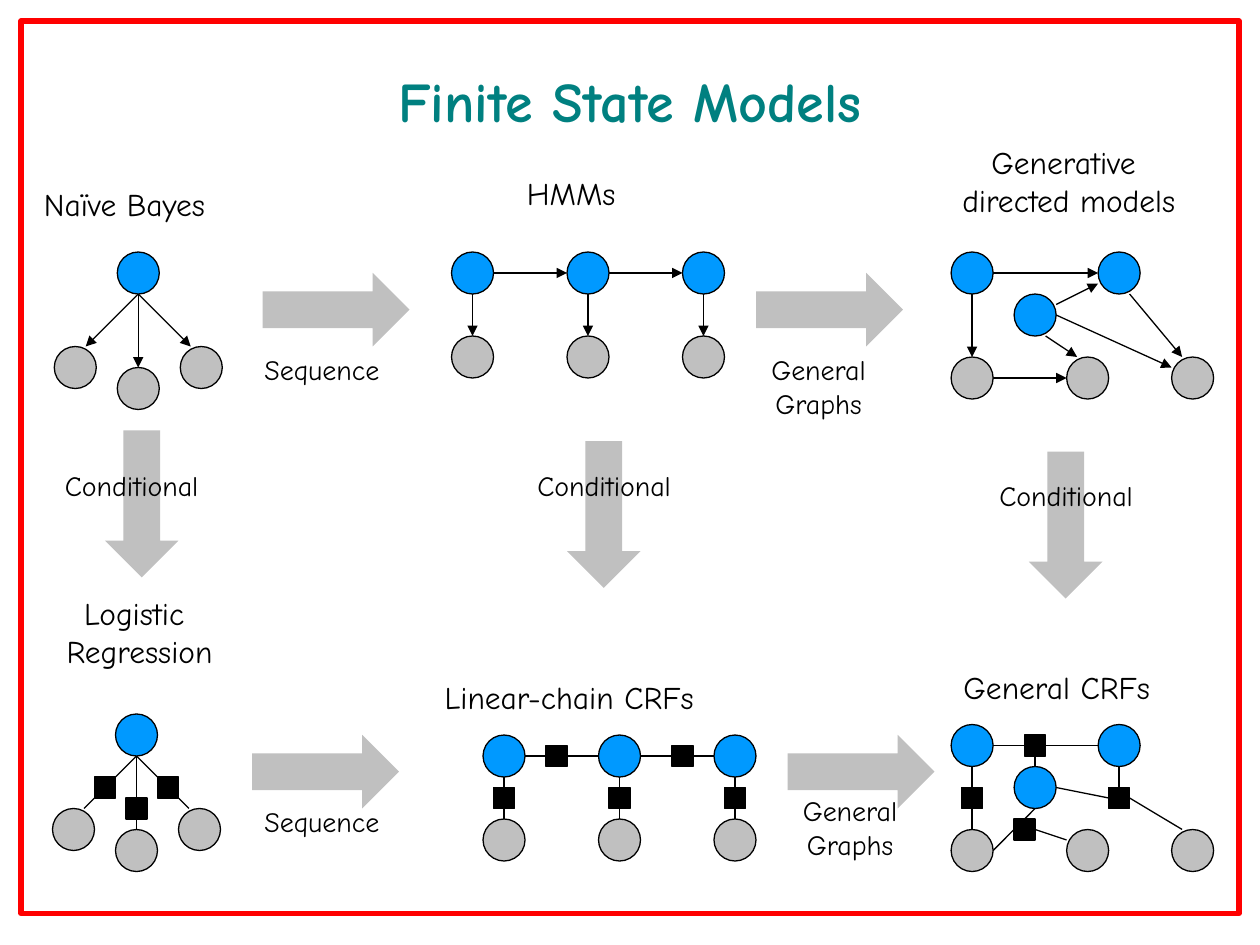
"""Build the slide that relates generative and conditional finite state models."""
from typing import NamedTuple

from lxml.etree import SubElement
from pptx import Presentation
from pptx.dml.color import RGBColor
from pptx.enum.shapes import MSO_CONNECTOR, MSO_SHAPE
from pptx.enum.text import MSO_ANCHOR, PP_ALIGN
from pptx.oxml.ns import qn
from pptx.slide import Slide
from pptx.util import Pt

CIRCLE, SQUARE = MSO_SHAPE.OVAL, MSO_SHAPE.RECTANGLE
BLOCK_ARROW = MSO_SHAPE.RIGHT_ARROW
STRAIGHT = MSO_CONNECTOR.STRAIGHT
LEFT, CENTER = PP_ALIGN.LEFT, PP_ALIGN.CENTER
TOP, MIDDLE = MSO_ANCHOR.TOP, MSO_ANCHOR.MIDDLE

BLACK = RGBColor(0x00, 0x00, 0x00)
TEAL = RGBColor(0x00, 0x80, 0x80)
BLUE = RGBColor(0x00, 0x99, 0xFF)
GRAY = RGBColor(0xC0, 0xC0, 0xC0)
RED = RGBColor(0xFF, 0x00, 0x00)

NODE, FACTOR, THIN = 24, 12, 0.75
ARROW_LENGTH, ARROW_BREADTH = 84, 42
TITLE_FONT = {"name": "Comic Neue", "size": Pt(32), "bold": True}
NAME_FONT = {"name": "Comic Neue", "size": Pt(18)}
STEP_FONT = {"name": "Comic Neue", "size": Pt(16)}

Point = tuple[float, float]
Edge = tuple[Point, Point]


class Nodes(NamedTuple):
    hidden: tuple[Point, ...]
    observed: tuple[Point, ...]


class Model(NamedTuple):
    origin: Point
    nodes: Nodes
    edges: tuple[Edge, ...]
    factors: tuple[Point, ...] = ()


class Box(NamedTuple):
    left: float
    top: float
    width: float
    height: float


class Label(NamedTuple):
    text: str
    box: Box
    font: dict
    align: PP_ALIGN = LEFT
    anchor: MSO_ANCHOR = TOP
    color: RGBColor = BLACK


class Transition(NamedTuple):
    left: float
    top: float
    rotation: float = 0


CHAIN_STEPS = (0, 66, 132)
STAR = Nodes(((0, 0),), ((-36, 54), (0, 66), (36, 54)))
CHAIN = Nodes(tuple((x, 0) for x in CHAIN_STEPS), tuple((x, 48) for x in CHAIN_STEPS))
GRAPH = Nodes(((0, 0), (36, 24), (84, 0)), ((0, 60), (66, 60), (126, 60)))

STAR_EDGES = tuple(((12, 24), end) for end in ((-18, 54), (12, 66), (42, 54)))
CHAIN_EDGES = (
    *(((x + 24, 12), (x + 66, 12)) for x in CHAIN_STEPS[:-1]),
    *(((x + 12, 24), (x + 12, 48)) for x in CHAIN_STEPS),
)
SHARED_EDGES = (((12, 24), (12, 60)), ((24, 12), (84, 12)))
DIRECTED_EDGES = (
    *SHARED_EDGES,
    ((102, 24), (132, 60)),
    ((60, 30), (84, 18)),
    ((24, 72), (66, 72)),
    ((54, 48), (72, 60)),
    ((60, 36), (126, 66)),
)
FACTOR_EDGES = (
    *SHARED_EDGES,
    ((102, 42), (132, 60)),
    ((96, 36), (96, 24)),
    ((24, 72), (36, 60)),
    ((48, 60), (66, 66)),
    ((60, 36), (90, 42)),
    ((48, 48), (42, 54)),
    ((48, 24), (48, 18)),
)

MODELS = (
    Model((67, 144), STAR, STAR_EDGES),
    Model((258, 144), CHAIN, CHAIN_EDGES),
    Model((543.5, 144), GRAPH, DIRECTED_EDGES),
    Model((66, 408), STAR, STAR_EDGES, ((-12, 36), (6, 48), (24, 36))),
    Model((276, 420), CHAIN, CHAIN_EDGES,
          (*((x + 6, 30) for x in CHAIN_STEPS), (36, 6), (108, 6))),
    Model((543.5, 414), GRAPH, FACTOR_EDGES, ((6, 36), (42, 6), (36, 54), (90, 36))),
)

TRANSITIONS = (
    Transition(150, 156), Transition(432, 156),
    Transition(144, 420), Transition(450, 420),
    Transition(39, 267, 90), Transition(303, 273, 90), Transition(567, 279, 90),
)

LABELS = (
    Label("Finite State Models", Box(24, 12, 672, 90), TITLE_FONT, CENTER, MIDDLE, TEAL),
    Label("Naïve Bayes", Box(18, 102, 149, 36), NAME_FONT),
    Label("Logistic \nRegression", Box(12, 336, 135.5, 65), NAME_FONT, CENTER),
    Label("Linear-chain CRFs", Box(247, 384, 214.5, 36), NAME_FONT),
    Label("HMMs", Box(294, 96, 87, 36), NAME_FONT),
    Label("Generative \ndirected models", Box(513.5, 78, 194.5, 65), NAME_FONT, CENTER),
    Label("General CRFs", Box(543.5, 378, 163.5, 36), NAME_FONT),
    *(Label("Sequence", Box(144, top, 85, 26.5), STEP_FONT) for top in (198, 456)),
    *(Label("Conditional", Box(left, top, 96.5, 26.5), STEP_FONT)
      for left, top in ((30, 264), (300, 264), (564, 270))),
    *(Label("General\vGraphs", Box(left, top, 71.5, 46), STEP_FONT, CENTER)
      for left, top in ((432, 198), (450, 450))),
)


def draw_shape(slide: Slide, kind: MSO_SHAPE, box: Box, fill: RGBColor | None,
               outline: RGBColor | None = BLACK, weight: float = THIN,
               rotation: float = 0) -> None:
    shape = slide.shapes.add_shape(kind, *map(Pt, box))
    shape.shadow.inherit = False
    shape.rotation = rotation
    if fill is None:
        shape.fill.background()
    else:
        shape.fill.solid()
        shape.fill.fore_color.rgb = fill
    if outline is None:
        shape.line.fill.background()
    else:
        shape.line.color.rgb = outline
        shape.line.width = Pt(weight)


def draw_edge(slide: Slide, origin: Point, edge: Edge, directed: bool) -> None:
    ends = [Pt(base + offset) for point in edge for base, offset in zip(origin, point)]
    connector = slide.shapes.add_connector(STRAIGHT, *ends)
    connector.line.color.rgb = BLACK
    connector.line.width = Pt(THIN)
    properties = connector.element.spPr
    if directed:
        SubElement(properties.find(qn("a:ln")), qn("a:tailEnd"), type="triangle")
    SubElement(properties, qn("a:effectLst"))


def draw_model(slide: Slide, model: Model) -> None:
    x, y = model.origin
    for edge in model.edges:
        draw_edge(slide, model.origin, edge, directed=not model.factors)
    for kind, size, fill, places in (
        (CIRCLE, NODE, BLUE, model.nodes.hidden),
        (CIRCLE, NODE, GRAY, model.nodes.observed),
        (SQUARE, FACTOR, BLACK, model.factors),
    ):
        for dx, dy in places:
            draw_shape(slide, kind, Box(x + dx, y + dy, size, size), fill)


def draw_label(slide: Slide, label: Label) -> None:
    frame = slide.shapes.add_textbox(*map(Pt, label.box)).text_frame
    frame.word_wrap = True
    frame.vertical_anchor = label.anchor
    frame.text = label.text
    for paragraph in frame.paragraphs:
        paragraph.alignment = label.align
        for run in paragraph.runs:
            for attribute, value in label.font.items():
                setattr(run.font, attribute, value)
            run.font.color.rgb = label.color


def main() -> None:
    deck = Presentation()
    deck.slide_width, deck.slide_height = Pt(720), Pt(540)
    slide = deck.slides.add_slide(deck.slide_layouts[6])
    for model in MODELS:
        draw_model(slide, model)
    for left, top, rotation in TRANSITIONS:
        draw_shape(slide, BLOCK_ARROW, Box(left, top, ARROW_LENGTH, ARROW_BREADTH),
                   GRAY, outline=None, rotation=rotation)
    for label in LABELS:
        draw_label(slide, label)
    draw_shape(slide, SQUARE, Box(12, 12, 696, 510), None, RED, 3)
    deck.save("out.pptx")


if __name__ == "__main__":
    main()
